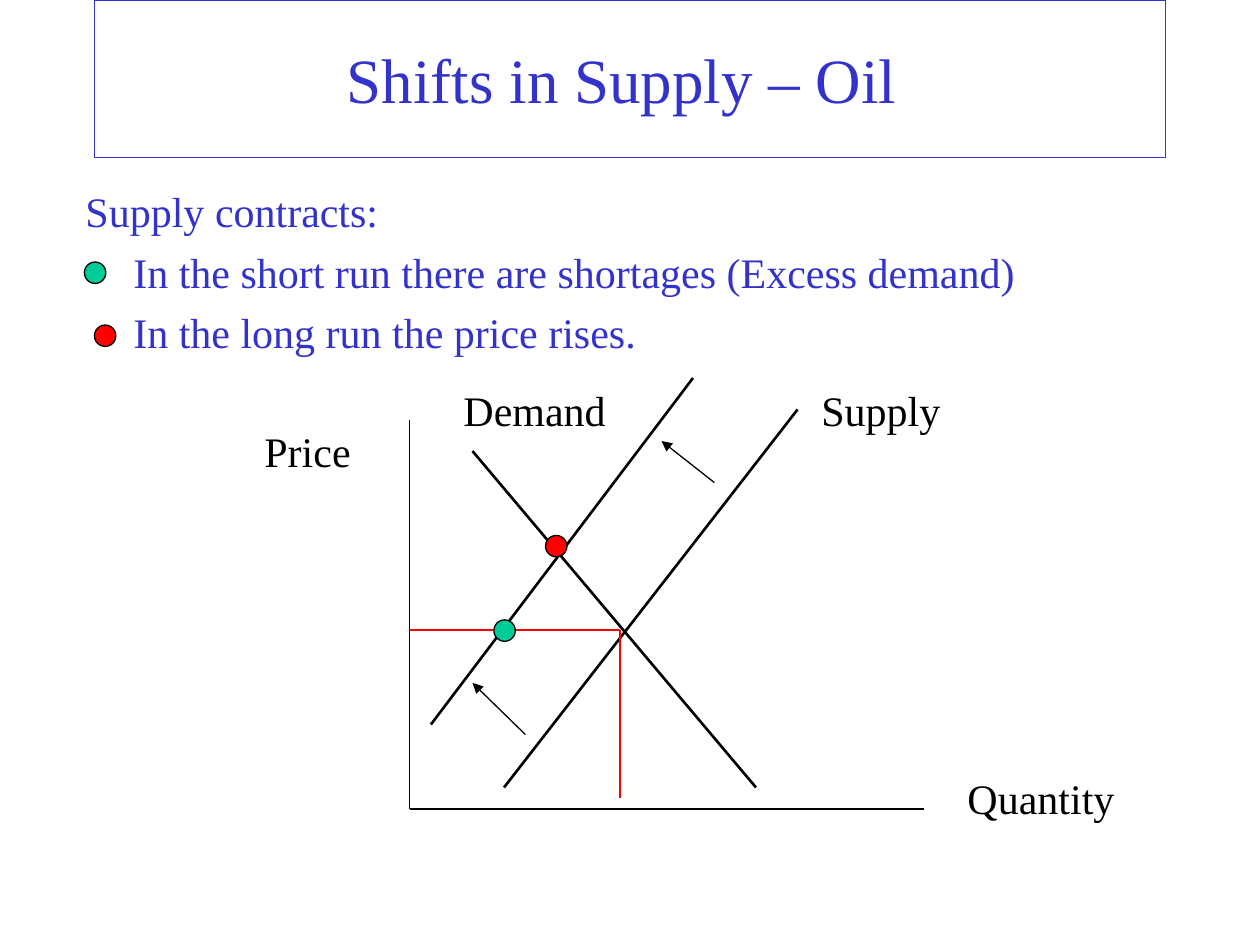
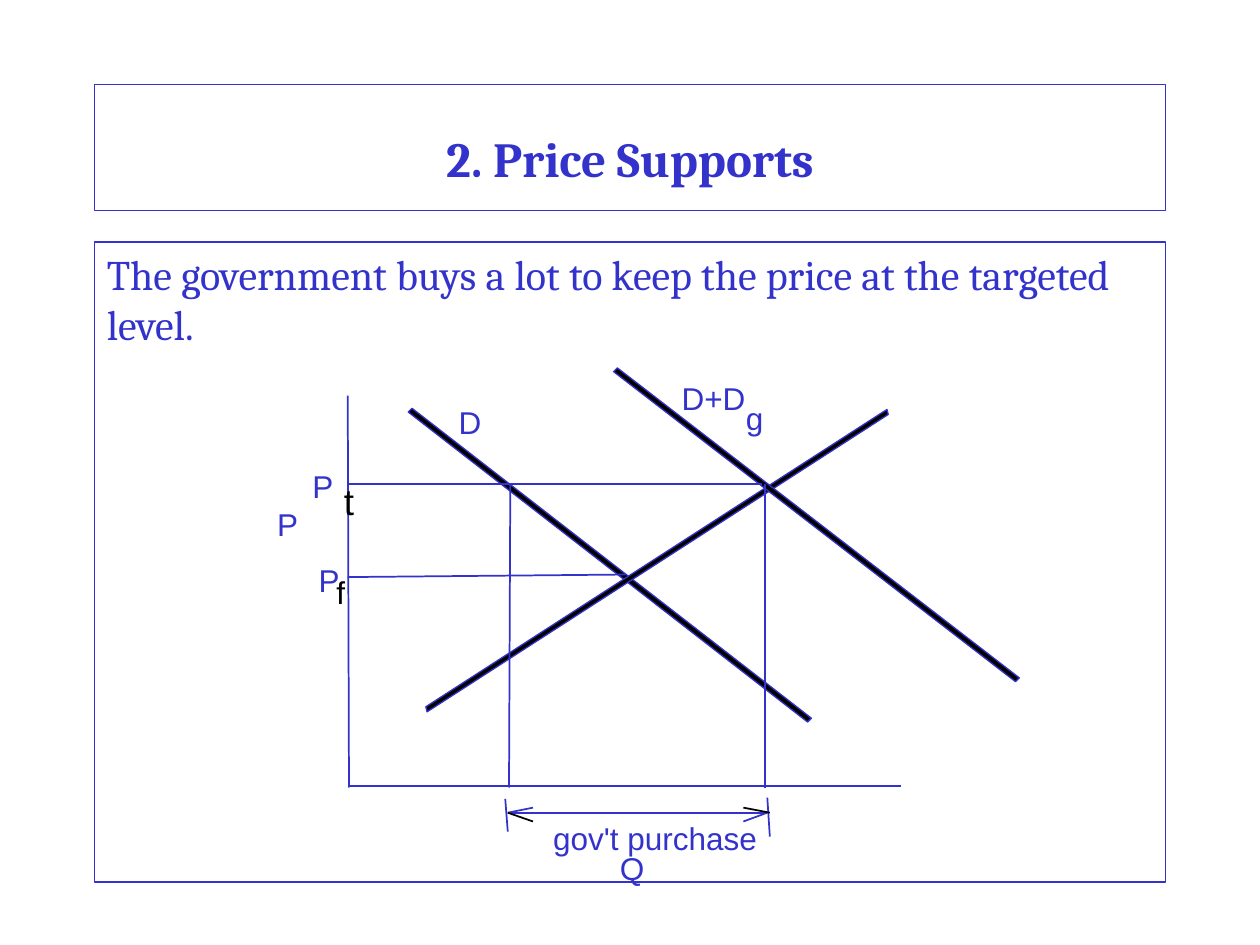
from pptx import Presentation as Deck
from pptx.util import Inches, Pt
from pptx.dml.color import RGBColor as RGB
from pptx.enum.shapes import MSO_SHAPE as Shape, MSO_CONNECTOR as Link
from pptx.enum.text import PP_ALIGN as Align, MSO_ANCHOR as Anchor
from pptx.oxml.ns import qn
from lxml.etree import SubElement as Sub

HUES = {"blue": "3333CC", "black": "000000", "red": "FF0000", "green": "00CC99"}
SERIF, SANS, BOOK = "Times New Roman", "Arial", "Cambria"


def hue(name):
    """Return the named colour."""
    return RGB.from_string(HUES[name])


def paint(shape, fill, line, width=0.75):
    """Set the fill and outline of a shape."""
    shape.shadow.inherit = False
    if fill:
        shape.fill.solid()
        shape.fill.fore_color.rgb = hue(fill)
    else:
        shape.fill.background()
    shape.line.color.rgb = hue(line)
    shape.line.width = Pt(width)


def write(para, text, size, font, color, bold=False):
    """Add one styled run to a paragraph."""
    run = para.add_run()
    run.text = text
    run.font.size, run.font.name, run.font.bold = Pt(size), font, bold
    run.font.color.rgb = hue(color)


def frame(slide, box):
    """Draw an outlined box and return its text frame."""
    shape = slide.shapes.add_shape(Shape.RECTANGLE, *map(Inches, box))
    paint(shape, None, "blue")
    shape.text_frame.word_wrap = True
    return shape.text_frame


def title(slide, top, high, text, size, font, bold=False, drop=0.05, right=0.1):
    """Draw the framed slide title."""
    body = frame(slide, (0.75, top, 8.5, high))
    body.vertical_anchor = Anchor.MIDDLE
    body.margin_top, body.margin_right = Inches(drop), Inches(right)
    para = body.paragraphs[0]
    para.alignment = Align.CENTER
    write(para, text, size, font, "blue", bold)


def label(slide, box, text, size=18, font=SANS, color="blue", pad=(0, 0)):
    """Place a short label on a graph."""
    body = slide.shapes.add_textbox(*map(Inches, box)).text_frame
    body.word_wrap = False
    body.margin_left = body.margin_right = Inches(pad[0])
    body.margin_top = body.margin_bottom = Inches(pad[1])
    write(body.paragraphs[0], text, size, font, color)


def notes(slide, box, head, items):
    """Write a heading with indented items below it."""
    body = slide.shapes.add_textbox(*map(Inches, box)).text_frame
    body.word_wrap = True
    write(body.paragraphs[0], head, 24, SERIF, "blue")
    for item in items:
        para = body.add_paragraph()
        para.space_before = Pt(6)
        para._p.get_or_add_pPr().set("marL", str(Inches(0.38)))
        write(para, item, 24, SERIF, "blue")


def line(slide, ends, color="blue", width=1, arrow=False):
    """Draw a straight line, with an arrowhead if asked."""
    link = slide.shapes.add_connector(Link.STRAIGHT, *map(Inches, ends))
    link.line.color.rgb = hue(color)
    link.line.width = Pt(width)
    if arrow:
        Sub(link.line._get_or_add_ln(), qn("a:tailEnd"), type="triangle")
    Sub(link._element.spPr, qn("a:effectLst"))


def dot(slide, left, top, color):
    """Draw a round marker."""
    shape = slide.shapes.add_shape(
        Shape.OVAL, Inches(left), Inches(top), Inches(0.17), Inches(0.17))
    paint(shape, color, "black")


def band(slide, start, end, edge):
    """Draw a thick curve as a slanted strip."""
    far = [(x + edge[0], y + edge[1]) for x, y in (end, start)]
    pen = slide.shapes.build_freeform(*map(Inches, start))
    pen.add_line_segments([tuple(map(Inches, spot)) for spot in (end, *far)])
    paint(pen.convert_to_shape(), "black", "blue")


def oil(slide):
    """Build the slide on a shift in oil supply."""
    title(slide, 0, 1.25, "Shifts in Supply – Oil", 36, SERIF, right=0.23)
    notes(slide, (0.58, 1.42, 9.08, 5.75), "Supply contracts:", (
        "In the short run there are shortages (Excess demand)",
        "In the long run the price rises."))
    for ends in ((3.25, 3.33, 3.25, 6.42), (3.25, 6.42, 7.33, 6.42)):
        line(slide, ends, "black", 0.75)
    for ends in ((3.75, 3.58, 6, 6.25), (4, 6.25, 6.33, 3.25),
                 (3.42, 5.75, 5.5, 3)):
        line(slide, ends, "black", 1.5)
    for ends in ((3.25, 5, 4.92, 5), (4.92, 5, 4.92, 6.33)):
        line(slide, ends, "red", 0.75)
    for ends in ((5.67, 3.83, 5.25, 3.5), (4.17, 5.83, 3.75, 5.42)):
        line(slide, ends, "black", 0.75, arrow=True)
    for left, top, wide, text in (
            (7.58, 6.08, 1.58, "Quantity"), (2, 3.33, 1.25, "Price"),
            (6.42, 3, 1.33, "Supply"), (3.58, 3, 1.33, "Demand")):
        label(slide, (left, top, wide, 0.5), text, 24, SERIF, "black", (0.1, 0.05))
    for left, top, color in ((3.92, 4.92, "green"), (0.67, 2.08, "green"),
                             (4.33, 4.25, "red"), (0.75, 2.58, "red")):
        dot(slide, left, top, color)


def support(slide):
    """Build the slide on price supports."""
    title(slide, 0.67, 1, "2. Price Supports", 28, BOOK, bold=True, drop=0.22)
    body = frame(slide, (0.75, 1.92, 8.5, 5.08))
    body.vertical_anchor = Anchor.TOP
    para = body.paragraphs[0]
    para.alignment = Align.LEFT
    write(para, "The government buys a lot to keep the price at the targeted level.",
          24, BOOK, "blue")
    band(slide, (3.27, 3.24), (6.44, 5.7), (-0.03, 0.03))
    band(slide, (3.38, 5.61), (7.04, 3.25), (0.01, 0.04))
    band(slide, (4.9, 2.92), (8.09, 5.38), (-0.03, 0.03))
    axes = (2.76, 3.14, 2.77, 6.25), (2.78, 6.24, 7.15, 6.24)
    guides = ((4.96, 4.56, 2.76, 4.58), (2.76, 3.84, 6.05, 3.84),
              (4.04, 6.25, 4.05, 3.84), (6.07, 6.25, 6.07, 3.84))
    span = ((4.01, 6.34, 4.03, 6.6), (6.09, 6.33, 6.11, 6.64),
            (4.03, 6.45, 6.09, 6.45), (4.03, 6.45, 4.23, 6.41),
            (6.09, 6.45, 5.9, 6.52))
    for ends in axes + guides + span:
        line(slide, ends)
    for ends in ((4.03, 6.45, 4.23, 6.52), (6.11, 6.45, 5.9, 6.41)):
        line(slide, ends, "black")
    for left, top, wide, text in (
            (2.48, 3.71, 0.17, "P"), (2.53, 4.45, 0.17, "P"),
            (2.2, 4.01, 0.17, "P"), (3.64, 3.2, 0.18, "D"),
            (5.41, 3.01, 0.51, "D+D"), (5.92, 3.17, 0.14, "g"),
            (4.39, 6.5, 1.62, "gov't purchase"), (4.92, 6.74, 0.2, "Q")):
        label(slide, (left, top, wide, 0.3), text)
    label(slide, (2.67, 4.55, 0.07, 0.3), "f", color="black")
    label(slide, (2.73, 3.8, 0.08, 0.35), "t", 21, color="black")


def main():
    """Build and save the deck."""
    deck = Deck()
    deck.slide_width, deck.slide_height = Inches(10), Inches(7.5)
    for build in (oil, support):
        build(deck.slides.add_slide(deck.slide_layouts[6]))
    deck.save("out.pptx")


if __name__ == "__main__":
    main()
